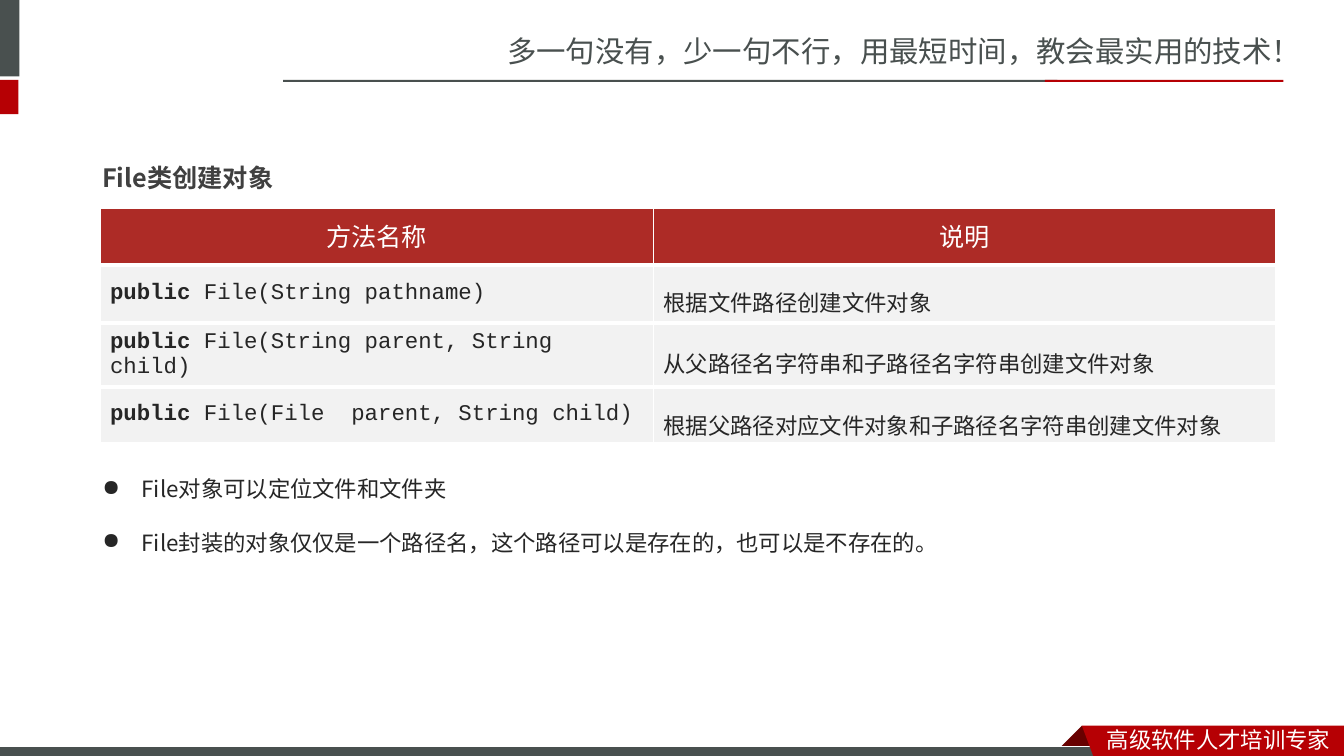
import pptx
import pptx.dml.color
import pptx.enum.shapes
import pptx.enum.text
import pptx.oxml
import pptx.oxml.ns
import pptx.util

GRID = pptx.util.Inches(1) / 12
SLIDE_COLUMNS, SLIDE_ROWS = 160, 90

SLATE = pptx.dml.color.RGBColor(0x49, 0x50, 0x4F)
RED = pptx.dml.color.RGBColor(0xB6, 0x00, 0x04)
FOLD_RED = pptx.dml.color.RGBColor(0x68, 0x00, 0x00)
HEAD_RED = pptx.dml.color.RGBColor(0xAD, 0x2B, 0x26)
ROW_GREY = pptx.dml.color.RGBColor(0xF2, 0xF2, 0xF2)
HEADING_GREY = pptx.dml.color.RGBColor(0x40, 0x40, 0x40)
INK = pptx.dml.color.RGBColor(0x26, 0x26, 0x26)
WHITE = pptx.dml.color.RGBColor(0xFF, 0xFF, 0xFF)

SC, JP = "Noto Sans CJK SC", "Noto Sans CJK JP"
CENTER = pptx.enum.text.PP_ALIGN.CENTER
MIDDLE = pptx.enum.text.MSO_ANCHOR.MIDDLE

METHODS = [
    ("File(String pathname)", "根据文件路径创建文件对象"),
    ("File(String parent, String child)", "从父路径名字符串和子路径名字符串创建文件对象"),
    ("File(File  parent, String child)", "根据父路径对应文件对象和子路径名字符串创建文件对象"),
]
NOTES = [
    "File对象可以定位文件和文件夹",
    "File封装的对象仅仅是一个路径名，这个路径可以是存在的，也可以是不存在的。",
]


def units(value):
    """Convert grid steps to a slide length."""
    return pptx.util.Emu(round(value * GRID))


def place(box, x, y, width, height):
    """Return the lengths of a part set relative to its box."""
    return [units(v) for v in (box[0] + x, box[1] + y, width, height)]


def write(frame, *lines, size, color, font=JP, east_asian=None, bold=False,
          lead="", spacing=None, align=None, bullet=None):
    """Fill a text frame with lines, each after an optional bold lead."""
    frame.word_wrap = True
    for index, line in enumerate(lines):
        paragraph = frame.add_paragraph() if index else frame.paragraphs[0]
        if bullet:
            properties = paragraph._p.get_or_add_pPr()
            indent = pptx.util.Inches(0.39)
            properties.set("marL", str(indent))
            properties.set("indent", str(-indent))
            properties.append(pptx.oxml.parse_xml(
                f'<a:buChar {pptx.oxml.ns.nsdecls("a")} char="{bullet}"/>'))
        paragraph.line_spacing = spacing
        paragraph.alignment = align
        for words, heavy in ((lead, True), (line, bold)):
            if not words:
                continue
            run = paragraph.add_run()
            run.text = words
            run.font.size = pptx.util.Pt(size)
            run.font.bold = heavy
            run.font.color.rgb = color
            run.font.name = font
            run._r.get_or_add_rPr().append(pptx.oxml.parse_xml(
                f'<a:ea {pptx.oxml.ns.nsdecls("a")} typeface="{east_asian or font}"/>'))


def add_text(slide, area, *lines, **style):
    """Add a text box with formatted lines."""
    write(slide.shapes.add_textbox(*area).text_frame, *lines, **style)


def paint(shape, color, edge=None):
    """Give a shape a flat fill and an optional thin edge."""
    shape.shadow.inherit = False
    shape.fill.solid()
    shape.fill.fore_color.rgb = color
    if edge is None:
        shape.line.fill.background()
    else:
        shape.line.color.rgb = edge
        shape.line.width = pptx.util.Pt(0.75)


def add_bar(slide, area, color, edge=None):
    """Add a flat rectangle."""
    rectangle = pptx.enum.shapes.MSO_SHAPE.RECTANGLE
    paint(slide.shapes.add_shape(rectangle, *area), color, edge)


def add_outline(slide, box, points, color):
    """Add a closed polygon whose points are relative to the box."""
    corners = [place(box, x, y, 0, 0)[:2] for x, y in points]
    builder = slide.shapes.build_freeform(*corners[0], scale=1.0)
    builder.add_line_segments(corners[1:], close=True)
    paint(builder.convert_to_shape(), color)


def add_header(slide, box):
    """Draw the slogan, its two-tone rule and the side tabs."""
    add_text(slide, place(box, 59.2, 3.4, 100.9, 5.6),
             "多一句没有，少一句不行，用最短时间，教会最实用的技术！",
             size=21, color=SLATE, font=SC)
    for area, color in (
        ((-0.7, 0, 3, 9.1), SLATE),
        ((-0.7, 9.5, 2.9, 4.1), RED),
        ((33.7, 9.5, 92.2, 0.24), SLATE),
        ((124.4, 9.5, 28.4, 0.24), RED),
    ):
        add_bar(slide, place(box, *area), color)


def add_footer(slide, box):
    """Draw the bottom bar with the folded ribbon and its tagline."""
    right = box[2]
    add_outline(slide, box, [(128.8, 0.6), (131.4, 3.3), (126.1, 3.3)], FOLD_RED)
    add_bar(slide, place(box, -0.1, 3.1, 132, 1.5), SLATE, WHITE)
    add_outline(slide, box,
                [(128.8, 0.6), (right, 0.6), (right, 4.7), (130.3, 4.6)], RED)
    add_text(slide, place(box, 130.6, 0, 29.4, 4.4), "高级软件人才培训专家",
             size=16, color=WHITE, font=SC)


def style_cell(cell, color, top, bottom):
    """Fill a cell and draw its white borders."""
    cell.vertical_anchor = MIDDLE
    cell.fill.solid()
    cell.fill.fore_color.rgb = color
    properties = cell._tc.get_or_add_tcPr()
    for index, (side, width) in enumerate(zip("LRTB", (1, 1, top, bottom))):
        properties.insert(index, pptx.oxml.parse_xml(
            f'<a:ln{side} {pptx.oxml.ns.nsdecls("a")} w="{pptx.util.Pt(width)}">'
            f'<a:solidFill><a:srgbClr val="{WHITE}"/></a:solidFill></a:ln{side}>'))


def add_method_table(slide, box):
    """Build the table of constructors in the given box."""
    widths, heights = (65.9, 74.1), (6.72, 6.96, 6.12, 6.6)
    table = slide.shapes.add_table(
        len(heights), len(widths), *place(box, 0, 0, *box[2:])).table
    table.first_row = table.horz_banding = False
    for column, width in zip(table.columns, widths):
        column.width = units(width)
    for row, height in zip(table.rows, heights):
        row.height = units(height)
    for cell, label in zip(table.rows[0].cells, ("方法名称", "说明")):
        style_cell(cell, HEAD_RED, 1, 3)
        write(cell.text_frame, label, size=18, color=WHITE, font="Roboto",
              east_asian=SC, align=CENTER, spacing=pptx.util.Pt(24))
    for number, (signature, meaning) in enumerate(METHODS, 1):
        code, description = table.rows[number].cells
        for cell in (code, description):
            style_cell(cell, ROW_GREY, 3, 1 if number == len(METHODS) else 3)
        write(code.text_frame, signature, lead="public ", size=16, color=INK,
              font="Courier New")
        write(description.text_frame, meaning, size=16, color=INK, spacing=1.5)


def add_content(slide, box):
    """Place the heading, the table and the notes in the given box."""
    left, top, width, _ = box
    add_text(slide, place(box, 0, 0, width, 7.6), "File类创建对象",
             size=18, color=HEADING_GREY, bold=True, spacing=2.0)
    add_method_table(slide, (left + 0.9, top + 9.7, 140, 26.4))
    add_text(slide, place(box, 0, 37.7, width, 13.3), *NOTES,
             size=16, color=INK, spacing=2.0, bullet="●")


def main():
    """Build and save the slide."""
    deck = pptx.Presentation()
    deck.slide_width = units(SLIDE_COLUMNS)
    deck.slide_height = units(SLIDE_ROWS)
    slide = deck.slides.add_slide(deck.slide_layouts[6])
    add_header(slide, (0, 0, SLIDE_COLUMNS, 14))
    add_footer(slide, (0, 85.8, SLIDE_COLUMNS, 4.2))
    add_content(slide, (11, 15.1, 133, 51))
    deck.save("out.pptx")


if __name__ == "__main__":
    main()
